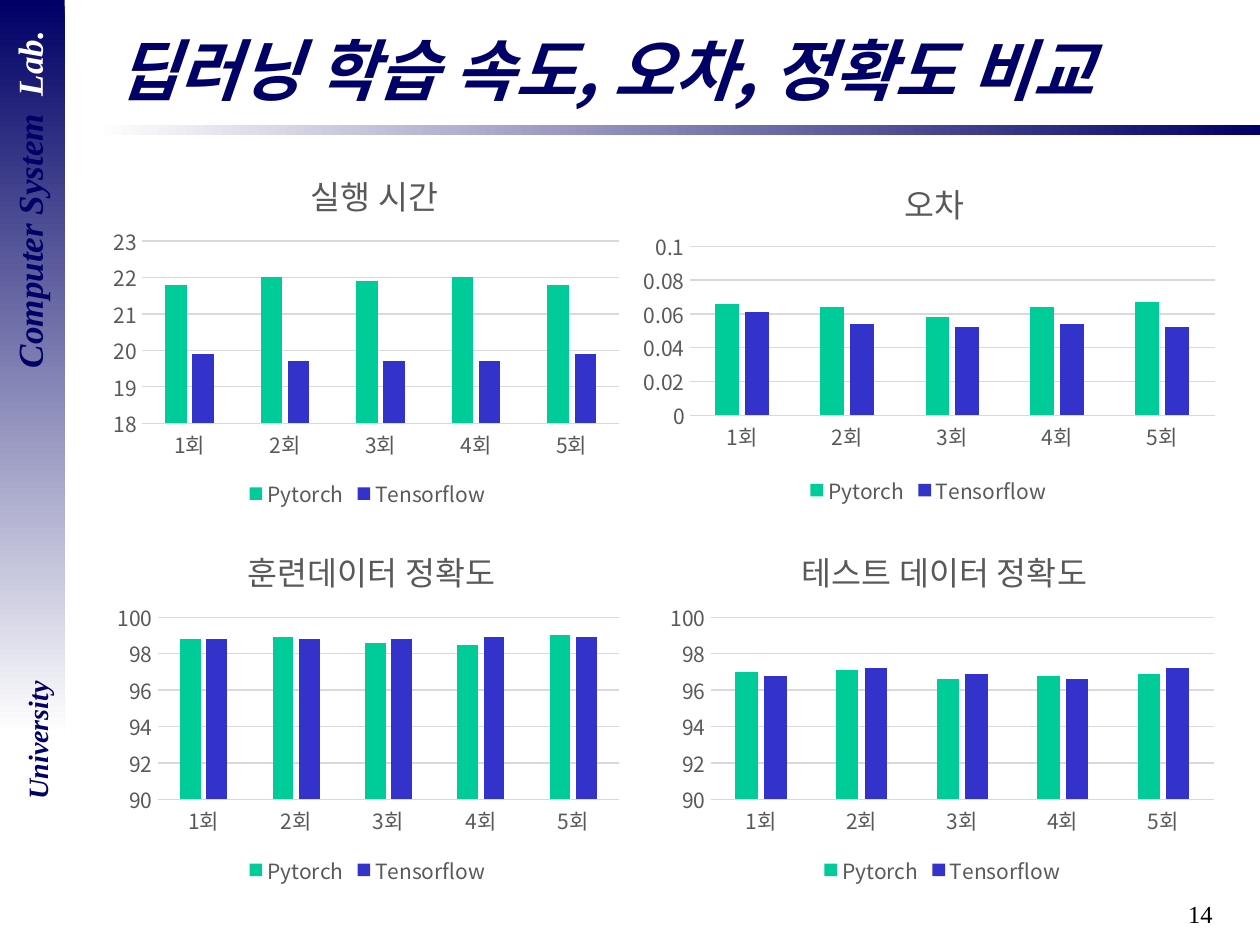
from dataclasses import dataclass
from pptx import Presentation
from pptx.chart.data import CategoryChartData as Data
from pptx.dml.color import RGBColor as RGB
from pptx.enum.chart import XL_CHART_TYPE as Kind, XL_LEGEND_POSITION as Spot, XL_TICK_MARK as Tick
from pptx.enum.shapes import MSO_SHAPE as Form
from pptx.enum.text import MSO_ANCHOR as Anchor, MSO_AUTO_SIZE as Fit, PP_ALIGN as Align
from pptx.oxml import parse_xml
from pptx.oxml.ns import nsdecls, qn
from pptx.util import Pt


@dataclass
class Theme:
    navy: RGB = RGB(0, 0, 0x66)
    white: RGB = RGB(255, 255, 255)
    black: RGB = RGB(0, 0, 0)
    gray: RGB = RGB(0x59, 0x59, 0x59)
    grid: RGB = RGB(0xD9, 0xD9, 0xD9)
    bars: tuple = (RGB(0, 0xCC, 0x99), RGB(0x33, 0x33, 0xCC))
    sans: str = "Noto Sans CJK KR"
    serif: str = "Times New Roman"
    head: float = 38
    lab: float = 20
    school: float = 16
    page: float = 14
    name: float = 18.6
    axis: float = 12


class Deck:
    def __init__(self, theme):
        self.theme = theme
        self.show = Presentation()
        self.show.slide_width, self.show.slide_height = Pt(720), Pt(540)
        self.slide = self.show.slides.add_slide(self.show.slide_layouts[5])

    def style(self, font, face, size, color, bold=False, slant=False):
        font.name, font.size = face, Pt(size)
        font.bold, font.italic = bold, slant
        font.color.rgb = color

    def asian(self, root):
        for latin in list(root.iter(qn("a:latin"))):
            latin.addnext(parse_xml(f'<a:ea {nsdecls("a")} typeface="{self.theme.sans}"/>'))

    def title(self, text, box):
        t, shape = self.theme, self.slide.shapes.title
        shape.left, shape.top, shape.width, shape.height = map(Pt, box)
        frame = shape.text_frame
        frame.text = text
        frame.auto_size, frame.vertical_anchor = Fit.NONE, Anchor.MIDDLE
        para = frame.paragraphs[0]
        para.alignment = Align.LEFT
        self.style(para.runs[0].font, t.sans, t.head, t.navy, True, True)
        self.asian(shape.element)

    def fade(self, box, angle, first, last):
        shape = self.slide.shapes.add_shape(Form.RECTANGLE, *map(Pt, box))
        shape.shadow.inherit = False
        shape.line.fill.background()
        shape.fill.gradient()
        shape.fill.gradient_angle = angle
        for stop, color in zip(shape.fill.gradient_stops, (first, last)):
            stop.color.rgb = color

    def label(self, parts, box, size, align, turn=0, bold=False):
        shape = self.slide.shapes.add_textbox(*map(Pt, box))
        shape.rotation = turn
        shape.text_frame.word_wrap = True
        para = shape.text_frame.paragraphs[0]
        para.alignment = align
        for text, color in parts:
            run = para.add_run()
            run.text = text
            self.style(run.font, self.theme.serif, size, color, bold, bold)

    def place(self, node, x, y, w=None, h=None):
        for old in node.findall(qn("c:layout")):
            node.remove(old)
        rows = [("xMode", "edge"), ("yMode", "edge"), ("x", x), ("y", y)]
        if w:
            rows = [("layoutTarget", "inner")] + rows + [("w", w), ("h", h)]
        body = "".join(f'<c:{key} val="{val}"/>' for key, val in rows)
        layout = parse_xml(f'<c:layout {nsdecls("c")}><c:manualLayout>{body}'
                           '</c:manualLayout></c:layout>')
        text = node.find(qn("c:tx"))
        if text is None:
            node.insert(0, layout)
        else:
            text.addnext(layout)

    def chart(self, name, box, left, plot, scale, cats, series):
        t, data = self.theme, Data()
        data.categories = cats
        for key, vals in series.items():
            data.add_series(key, vals)
        chart = self.slide.shapes.add_chart(Kind.COLUMN_CLUSTERED, *map(Pt, box), data).chart
        self.style(chart.font, t.sans, t.axis, t.gray)

        chart.has_title = True
        frame = chart.chart_title.text_frame
        frame.text = name
        self.style(frame.paragraphs[0].runs[0].font, t.sans, t.name, t.gray)
        chart.chart_title.include_in_layout = False

        chart.has_legend = True
        chart.legend.position = Spot.BOTTOM
        chart.legend.include_in_layout = False
        self.style(chart.legend.font, t.sans, t.axis, t.gray)

        cat, val = chart.category_axis, chart.value_axis
        for axis in (cat, val):
            axis.major_tick_mark = axis.minor_tick_mark = Tick.NONE
            self.style(axis.tick_labels.font, t.sans, t.axis, t.gray)
        val.minimum_scale, val.maximum_scale, val.major_unit = scale
        val.format.line.fill.background()
        for line in (cat.format.line, val.major_gridlines.format.line):
            line.color.rgb, line.width = t.grid, Pt(0.75)

        group = chart.plots[0]
        group.gap_width, group.overlap = 219, -27
        group.vary_by_categories = False
        for item, color in zip(group.series, t.bars):
            item.format.fill.solid()
            item.format.fill.fore_color.rgb = color

        root = chart.element
        self.asian(root)
        area = root.find(qn("c:chart"))
        self.place(area.find(qn("c:title")), left, 0.07)
        self.place(area.find(qn("c:plotArea")), *plot)


theme = Theme()
deck = Deck(theme)
deck.fade((54, 71.5, 666, 5.5), 0, theme.white, theme.navy)
deck.fade((0, 0, 37, 420), 270, theme.navy, theme.white)
deck.label([("14", theme.black)], (550, 510, 150, 30), theme.page, Align.RIGHT)
deck.label([("Computer System  ", theme.navy), ("Lab.", theme.white)],
           (-94, 98.5, 221, 31), theme.lab, Align.CENTER, 270, True)
deck.label([("University", theme.navy)],
           (-29.5, 409.5, 102, 27), theme.school, Align.CENTER, 270, True)
deck.title("딥러닝 학습 속도, 오차, 정확도 비교", (60, 12, 641, 55))

cats = [f"{turn}회" for turn in range(1, 6)]
charts = [
    ("실행 시간", (60, 77, 300, 217), 0.38, (0.07, 0.28, 0.91, 0.48), (18, 23, 1),
     (21.8, 22, 21.9, 22, 21.8), (19.9, 19.7, 19.7, 19.7, 19.9)),
    ("오차", (360, 82, 341, 210), 0.45, (0.1, 0.28, 0.88, 0.46), (0, 0.1, 0.02),
     (0.066, 0.064, 0.058, 0.064, 0.067), (0.061, 0.054, 0.052, 0.054, 0.052)),
    ("훈련데이터 정확도", (60, 292, 300, 217), 0.26, (0.1, 0.28, 0.88, 0.48), (90, 100, 2),
     (98.8, 98.9, 98.6, 98.5, 99), (98.8, 98.8, 98.8, 98.9, 98.9)),
    ("테스트 데이터 정확도", (377, 292, 323, 217), 0.24, (0.09, 0.28, 0.89, 0.48), (90, 100, 2),
     (97, 97.1, 96.6, 96.8, 96.9), (96.8, 97.2, 96.9, 96.6, 97.2)),
]
for name, box, left, plot, scale, torch, flow in charts:
    deck.chart(name, box, left, plot, scale, cats, {"Pytorch": torch, "Tensorflow": flow})

deck.show.save("out.pptx")
